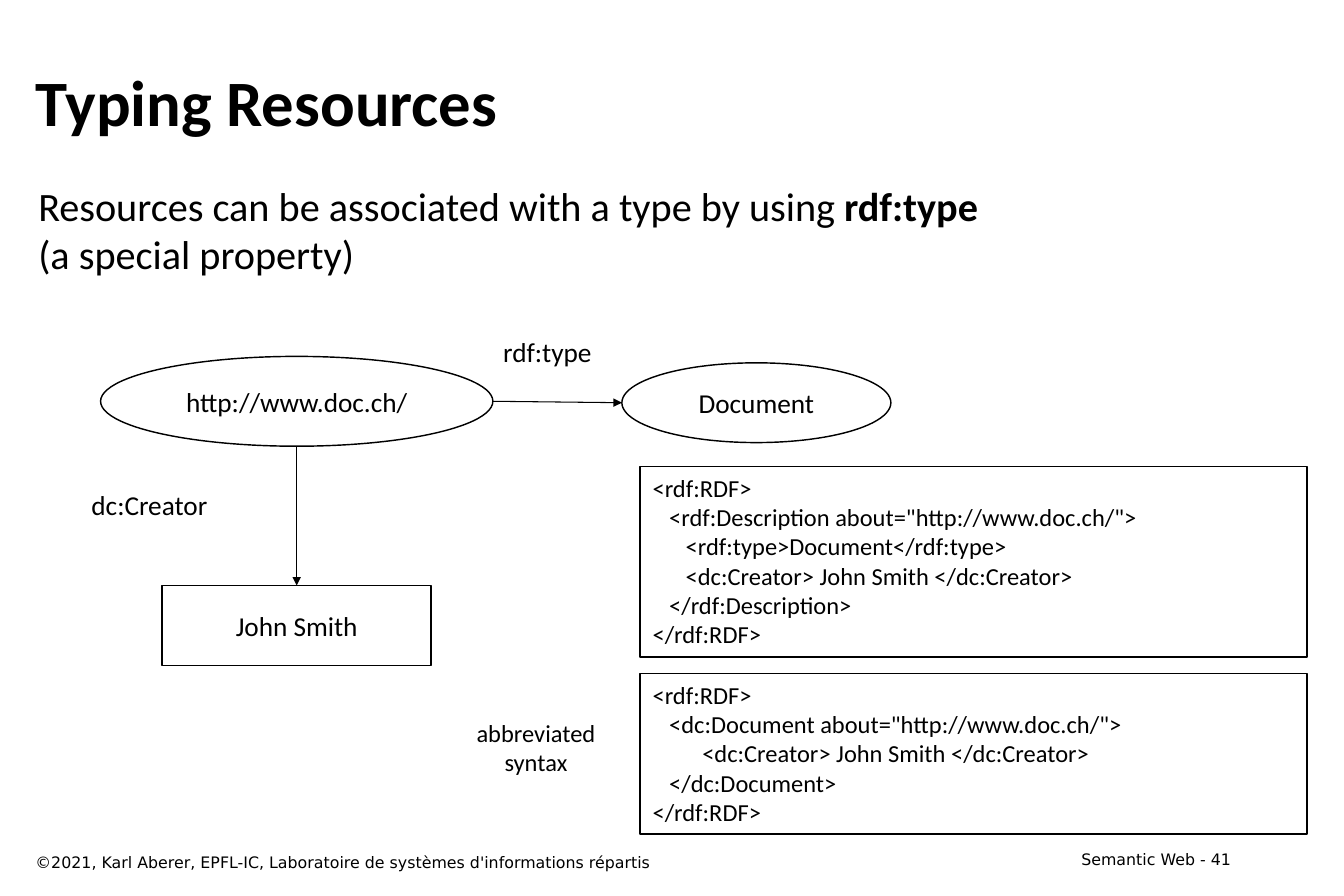
import pptx
import pptx.util
import pptx.dml.color
import pptx.enum.shapes
import pptx.enum.text
import pptx.oxml.ns
import lxml.etree

Pt = pptx.util.Pt
KIND = pptx.enum.shapes.MSO_SHAPE
ALIGN = pptx.enum.text.PP_ALIGN
ANCHOR = pptx.enum.text.MSO_ANCHOR
FIT = pptx.enum.text.MSO_AUTO_SIZE
BLACK = pptx.dml.color.RGBColor(0, 0, 0)
WHITE = pptx.dml.color.RGBColor(255, 255, 255)
SANS = "Calibri"
FOOT = "DejaVu Sans"

FULL = """<rdf:RDF>
   <rdf:Description about="http://www.doc.ch/">
      <rdf:type>Document</rdf:type>
      <dc:Creator> John Smith </dc:Creator>
   </rdf:Description>
</rdf:RDF>"""
SHORT = """<rdf:RDF>
   <dc:Document about="http://www.doc.ch/">
         <dc:Creator> John Smith </dc:Creator>
   </dc:Document>
</rdf:RDF>"""


def add_node(parent, tag, **attrs):
    """Append a DrawingML element to a parent."""
    return lxml.etree.SubElement(parent, pptx.oxml.ns.qn(tag), **attrs)


def place(shape, box):
    """Move a shape to a box of left, top, width and height."""
    shape.left, shape.top, shape.width, shape.height = map(Pt, box)


def set_frame(shape, anchor=ANCHOR.TOP, wrap=True, fit=FIT.NONE):
    """Set insets, anchor and wrapping, and return the text frame."""
    frame = shape.text_frame
    frame.margin_left = frame.margin_right = Pt(8.64)
    frame.margin_top = frame.margin_bottom = Pt(4.4)
    frame.vertical_anchor = anchor
    frame.auto_size = fit
    frame.word_wrap = wrap
    return frame


def add_run(para, text, size, font=SANS, bold=False):
    """Add one black run to a paragraph."""
    run = para.add_run()
    run.text = text
    run.font.size = Pt(size)
    run.font.name = font
    run.font.bold = bold
    run.font.color.rgb = BLACK


def add_label(slide, box, lines, size, font=SANS, align=ALIGN.LEFT, wrap=False):
    """Add a text box whose lines share one paragraph."""
    label = slide.shapes.add_textbox(*map(Pt, box))
    para = set_frame(label, wrap=wrap).paragraphs[0]
    para.alignment = align
    for i, line in enumerate(lines):
        if i:
            para.add_line_break()
        add_run(para, line, size, font)


def add_shape(slide, kind, box):
    """Add a black outlined shape."""
    shape = slide.shapes.add_shape(kind, *map(Pt, box))
    shape.shadow.inherit = False
    shape.line.color.rgb = BLACK
    shape.line.width = Pt(1)
    return shape


def add_item(slide, kind, box, text):
    """Add a graph node with centred text."""
    node = add_shape(slide, kind, box)
    node.fill.solid()
    node.fill.fore_color.rgb = WHITE
    para = set_frame(node, ANCHOR.MIDDLE, False).paragraphs[0]
    para.alignment = ALIGN.CENTER
    add_run(para, text, 19)
    return node


def add_arrow(slide, start, end, width):
    """Add a straight arrow between two points."""
    line = slide.shapes.add_connector(
        pptx.enum.shapes.MSO_CONNECTOR.STRAIGHT, *map(Pt, start + end))
    line.line.color.rgb = BLACK
    line.line.width = Pt(width)
    add_node(line.line._get_or_add_ln(), "a:tailEnd", type="triangle")
    add_node(line._element.spPr, "a:effectLst")
    return line


def add_head(slide, box):
    """Fill the title placeholder."""
    title = slide.shapes.title
    place(title, box)
    para = set_frame(title, ANCHOR.MIDDLE).paragraphs[0]
    para.alignment = ALIGN.LEFT
    add_run(para, "Typing Resources", 45, bold=True)


def add_body(slide, box):
    """Fill the body placeholder with the statement."""
    body = slide.placeholders[1]
    place(body, box)
    para = set_frame(body).paragraphs[0]
    props = para._p.get_or_add_pPr()
    props.set("marL", "0")
    props.set("indent", "0")
    add_node(props, "a:buNone")
    para.space_before = Pt(0)
    add_run(para, "Resources can be associated with a type by using ", 28)
    add_run(para, "rdf:type", 28, bold=True)
    para.add_line_break()
    add_run(para, "(a special property)", 28)


def add_graph(slide, box):
    """Draw the resource, its type and its creator."""
    x, y, w, h = box
    wide, high, small = 273, 62.5, 55.5
    mid = x + wide / 2
    side = 187.2
    add_label(slide, (x - 15, y + 87, 98, 32), ["dc:Creator"], 19)
    add_item(slide, KIND.OVAL, (x, y, wide, high), "http://www.doc.ch/")
    name = add_item(slide, KIND.FLOWCHART_PROCESS,
                    (mid - side / 2, y + h - small, side, small), "John Smith")
    down = add_arrow(slide, (mid, y + high), (mid, y + h - small), 1)
    down.end_connect(name, 0)
    left = x + w - side
    add_item(slide, KIND.OVAL, (left, y + 4.5, side, small), "Document")
    add_arrow(slide, (x + wide, y + high / 2),
              (left, y + 4.5 + small / 2), 0.75)
    add_label(slide, (x + wide - 1.5, y - 19.4, 79, 32), ["rdf:type"], 19)


def add_code(slide, box, code):
    """Add a framed listing, one paragraph a line."""
    panel = add_shape(slide, KIND.RECTANGLE, box)
    panel.fill.background()
    frame = set_frame(panel, fit=FIT.SHAPE_TO_FIT_TEXT)
    for i, line in enumerate(code.splitlines()):
        para = frame.add_paragraph() if i else frame.paragraphs[0]
        para.alignment = ALIGN.LEFT
        add_run(para, line, 17)


def add_foot(slide, box):
    """Add the copyright line and the page mark."""
    x, y, w, h = box
    add_label(slide, (x, y + 2, 600, h), [
        "©2021, Karl Aberer, EPFL-IC, "
        "Laboratoire de systèmes d'informations répartis"], 11, FOOT, wrap=True)
    add_label(slide, (x + w - 195, y, 195, h), ["Semantic Web - 41"], 11,
              FOOT, ALIGN.RIGHT, True)


def main():
    """Build and save the slide."""
    deck = pptx.Presentation()
    deck.slide_width, deck.slide_height = Pt(935.28), Pt(623.52)
    slide = deck.slides.add_slide(deck.slide_layouts[1])
    add_head(slide, (16, 28, 850, 83.5))
    add_body(slide, (18, 121.7, 850, 457))
    add_graph(slide, (70, 248, 550, 215))
    add_code(slide, (445.5, 324.7, 464, 132.5), FULL)
    add_code(slide, (445.5, 468.7, 464, 111.6), SHORT)
    add_label(slide, (323, 495.4, 100, 50), ["abbreviated", "syntax"], 17,
              align=ALIGN.CENTER)
    add_foot(slide, (16, 587, 849.5, 21))
    deck.save("out.pptx")


if __name__ == "__main__":
    main()
